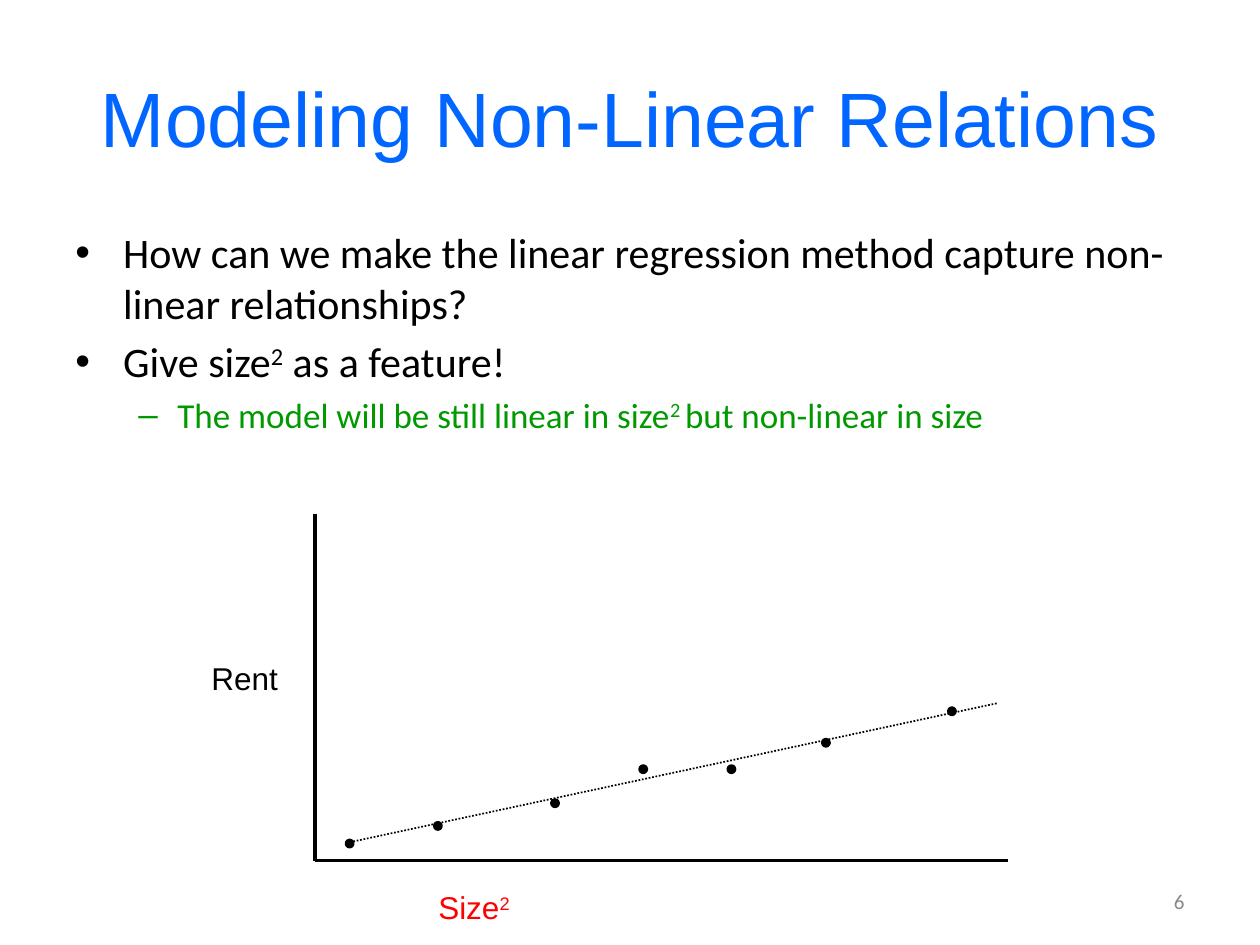
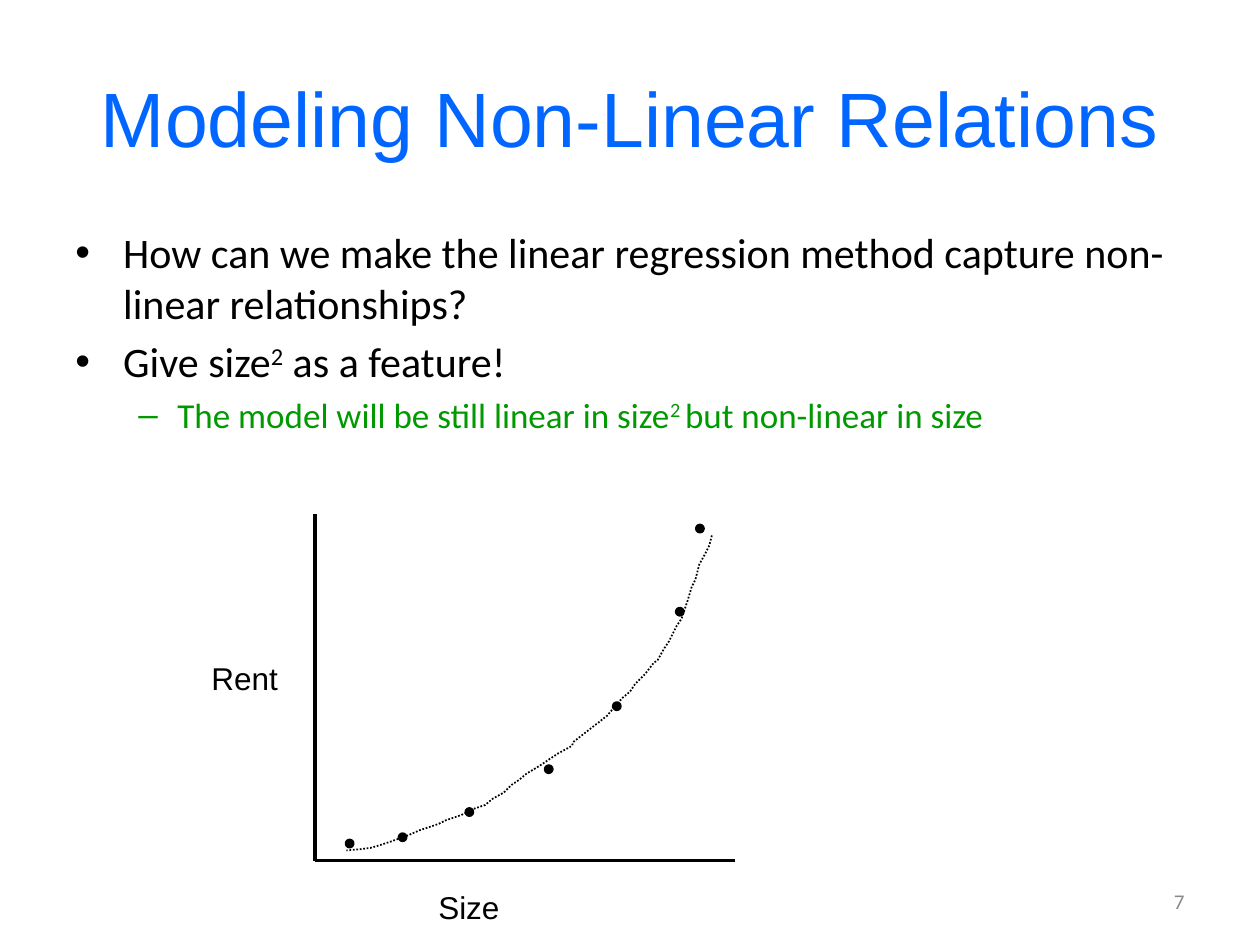
from dataclasses import dataclass

from lxml.etree import SubElement
from pptx import Presentation
from pptx.dml.color import RGBColor as Color
from pptx.enum.dml import MSO_LINE as Dash
from pptx.enum.shapes import MSO_CONNECTOR as Link, MSO_SHAPE as Shape
from pptx.enum.text import MSO_ANCHOR as Anchor, PP_ALIGN as Align
from pptx.oxml.ns import qn
from pptx.util import Inches, Pt

Point = tuple[float, float]


@dataclass(frozen=True)
class Theme:
    blue: Color = Color(0x00, 0x66, 0xFF)
    green: Color = Color(0x00, 0x99, 0x00)
    red: Color = Color(0xFF, 0x00, 0x00)
    gray: Color = Color(0x89, 0x89, 0x89)
    black: Color = Color(0x00, 0x00, 0x00)
    head: str = "Arial"
    body: str = "Calibri"
    title: float = 44
    main: float = 24
    sub: float = 20
    label: float = 18
    foot: float = 12
    thick: float = 2
    thin: float = 1


THEME = Theme()


@dataclass(frozen=True)
class Style:
    size: float
    color: Color
    font: str
    align: Align = Align.LEFT


@dataclass(frozen=True)
class Bullet:
    mark: str
    text: str
    style: Style
    left: float
    hang: float


@dataclass(frozen=True)
class Plot:
    name: str
    color: Color
    width: float
    end: float
    dots: list[Point]
    trend: list[Point]


TITLE = Style(THEME.title, THEME.blue, THEME.head, Align.CENTER)
FOOT = Style(THEME.foot, THEME.gray, THEME.body, Align.RIGHT)
MAIN = Style(THEME.main, THEME.black, THEME.body)
SUB = Style(THEME.sub, THEME.green, THEME.body)

# Text between carets is raised
BULLETS = [
    Bullet("•", "How can we make the linear regression method capture "
           "non-linear relationships?", MAIN, 0.38, 0.38),
    Bullet("•", "Give size^2^ as a feature!", MAIN, 0.38, 0.38),
    Bullet("–", "The model will be still linear in size^2 ^but non-linear in size",
           SUB, 0.81, 0.31),
]

# Axes and dots
LEFT, TOP, BASE = 2.5, 4.08, 6.83
DOT = 0.05

CURVE = [
    (5.65, 4.25), (5.63, 4.33), (5.6, 4.39), (5.55, 4.48), (5.52, 4.6),
    (5.49, 4.66), (5.46, 4.76), (5.41, 4.91), (5.37, 4.97), (5.31, 5.09),
    (5.27, 5.15), (5.22, 5.24), (5.19, 5.26), (5.12, 5.35), (5.04, 5.43),
    (5, 5.49), (4.94, 5.54), (4.87, 5.62), (4.82, 5.68), (4.73, 5.75),
    (4.64, 5.82), (4.55, 5.89), (4.54, 5.92), (4.43, 5.98), (4.37, 6.02),
    (4.28, 6.08), (4.18, 6.14), (4.12, 6.19), (4.06, 6.23), (4, 6.29),
    (3.91, 6.34), (3.85, 6.39), (3.76, 6.42), (3.66, 6.47), (3.54, 6.51),
    (3.48, 6.54), (3.33, 6.59), (3.24, 6.63), (3.1, 6.68), (3.01, 6.71),
    (2.94, 6.73), (2.86, 6.74), (2.75, 6.75),
]

PLOTS = [
    Plot("Size^2^", THEME.red, 0.79, 8,
         [(2.75, 6.67), (3.45, 6.53), (4.38, 6.35), (5.08, 6.08),
          (5.78, 6.08), (6.53, 5.87), (7.53, 5.62)],
         [(2.75, 6.69), (7.92, 5.58)]),
    Plot("Size", THEME.black, 0.69, 5.83,
         [(2.75, 6.67), (3.17, 6.62), (3.7, 6.42), (4.33, 6.08),
          (4.87, 5.58), (5.37, 4.83), (5.53, 4.17)],
         CURVE),
]


def write(para, text: str, style: Style) -> None:
    """Fill a paragraph, raising each part between carets."""
    para.alignment = style.align
    font = para.font
    font.size, font.name = Pt(style.size), style.font
    font.color.rgb = style.color
    for i, part in enumerate(text.split("^")):
        if part:
            run = para.add_run()
            run.text = part
            if i % 2:
                run.font._element.set("baseline", "30000")


def add_box(slide, x: float, y: float, w: float, h: float,
            wrap: bool = True, anchor: Anchor = Anchor.TOP):
    box = slide.shapes.add_textbox(Inches(x), Inches(y), Inches(w), Inches(h))
    frame = box.text_frame
    frame.word_wrap, frame.vertical_anchor = wrap, anchor
    return frame


def add_list(slide) -> None:
    frame = add_box(slide, 0.5, 1.75, 9, 4.95)
    for i, item in enumerate(BULLETS):
        para = frame.add_paragraph() if i else frame.paragraphs[0]
        props = para._p.get_or_add_pPr()
        props.set("marL", str(Inches(item.left)))
        props.set("indent", str(-Inches(item.hang)))
        SubElement(props, qn("a:buFont"), typeface=THEME.head)
        SubElement(props, qn("a:buChar"), char=item.mark)
        if i:
            para.space_before = Pt(item.style.size * 0.2)
        write(para, item.text, item.style)


def ink(line, width: float, dash: Dash | None = None) -> None:
    line.color.rgb, line.width = THEME.black, Pt(width)
    if dash:
        line.dash_style = dash


def add_line(slide, start: Point, end: Point, width: float,
             dash: Dash | None = None) -> None:
    line = slide.shapes.add_connector(
        Link.STRAIGHT, *(Inches(v) for v in (*start, *end)))
    ink(line.line, width, dash)
    SubElement(line._element.spPr, qn("a:effectLst"))


def add_dot(slide, spot: Point) -> None:
    x, y = spot
    dot = slide.shapes.add_shape(Shape.FLOWCHART_CONNECTOR, Inches(x), Inches(y),
                                 Inches(DOT), Inches(DOT))
    dot.shadow.inherit = False
    dot.fill.solid()
    dot.fill.fore_color.rgb = THEME.black
    ink(dot.line, THEME.thick)


def add_trend(slide, spots: list[Point]) -> None:
    if len(spots) == 2:
        add_line(slide, *spots, THEME.thin, Dash.ROUND_DOT)
        return
    first, *rest = [(Inches(x), Inches(y)) for x, y in spots]
    path = slide.shapes.build_freeform(*first)
    path.add_line_segments(rest, close=False)
    curve = path.convert_to_shape()
    curve.shadow.inherit = False
    curve.fill.background()
    ink(curve.line, THEME.thin, Dash.ROUND_DOT)


def add_plot(slide, plot: Plot) -> None:
    add_line(slide, (LEFT, TOP), (LEFT, BASE), THEME.thick)
    add_line(slide, (LEFT, BASE), (plot.end, BASE), THEME.thick)
    for spot in plot.dots:
        add_dot(slide, spot)
    for text, color, x, y, w in ((plot.name, plot.color, 3.38, 7, plot.width),
                                 ("Rent", THEME.black, 1.58, 5.18, 0.73)):
        frame = add_box(slide, x, y, w, 0.4, wrap=False)
        write(frame.paragraphs[0], text, Style(THEME.label, color, THEME.head))
    add_trend(slide, plot.trend)


def add_page(deck, number: int, plot: Plot) -> None:
    slide = deck.slides.add_slide(deck.slide_layouts[6])
    title = add_box(slide, 0.5, 0.3, 9, 1.25, anchor=Anchor.MIDDLE)
    write(title.paragraphs[0], "Modeling Non-Linear Relations", TITLE)
    add_list(slide)
    foot = add_box(slide, 7.17, 6.95, 2.33, 0.4, anchor=Anchor.MIDDLE)
    write(foot.paragraphs[0], str(number), FOOT)
    add_plot(slide, plot)


def main() -> None:
    deck = Presentation()
    deck.slide_width, deck.slide_height = Inches(10), Inches(7.5)
    for number, plot in enumerate(PLOTS, start=6):
        add_page(deck, number, plot)
    deck.save("out.pptx")


if __name__ == "__main__":
    main()
